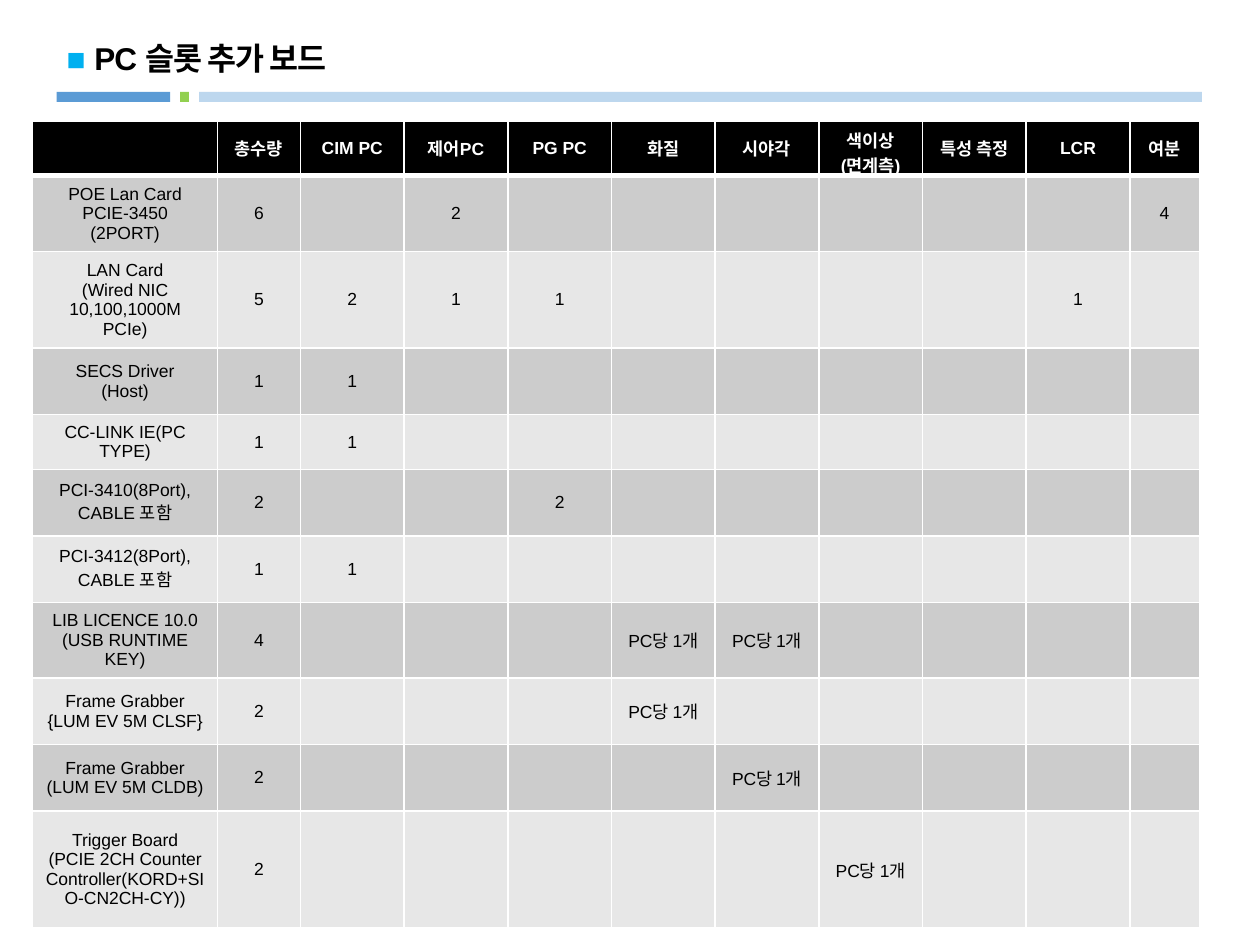
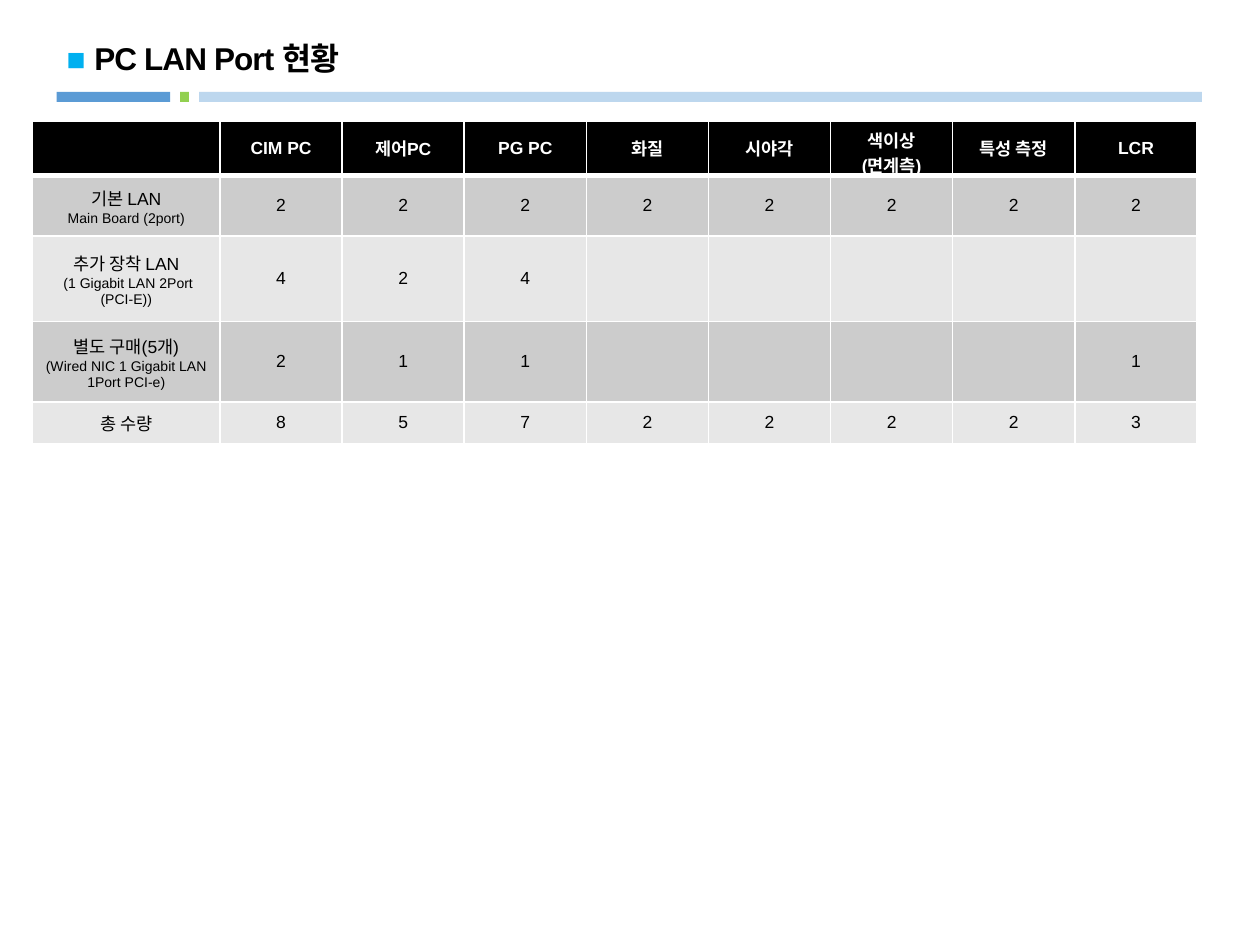
from dataclasses import dataclass

from lxml import etree
from pptx import Presentation
from pptx.dml.color import RGBColor
from pptx.enum import shapes, text
from pptx.oxml.ns import qn
from pptx.util import Pt

FONT = "Arial"
WHITE, BLACK, BULLET_BLUE = "FFFFFF", "000000", "00B0F0"
BODY_BANDS = ("CCCCCC", "E7E7E7")
TABLE_LEFT, TABLE_TOP = 18.72, 69.12
TEXT_SIZE = 10


@dataclass(frozen=True)
class Bar:
    left: float
    width: float
    color: str


@dataclass(frozen=True)
class Row:
    label: str
    height: float
    counts: dict[str, object]


@dataclass(frozen=True)
class Board:
    title: str
    headings: list[str]
    widths: list[float]
    rows: list[Row]
    note_size: float = TEXT_SIZE


BAR_TOP, BAR_HEIGHT = 52.56, 5.76
BARS = (Bar(113.76, 573.12, "BDD7EE"), Bar(32.4, 64.8, "5B9BD5"), Bar(102.96, 5.04, "92D050"))
HEADER_HEIGHT = 23

# Column headings
TOTAL, SPARE, COLOR_SHIFT = "총수량", "여분", "색이상\n(면계측)"
CIM, CONTROL, PG, QUALITY, VIEW, LCR = "CIM PC", "제어PC", "PG PC", "화질", "시야각", "LCR"
STATIONS = [CIM, CONTROL, PG, QUALITY, VIEW, COLOR_SHIFT, "특성 측정", LCR]
ONE_PER_PC = "PC당 1개"

BOARDS = [
    Board(
        "PC 슬롯 추가 보드",
        [TOTAL, *STATIONS, SPARE],
        [105.5, 47.5, *[59.25] * len(STATIONS), 39.7],
        [
            Row("POE Lan Card\nPCIE-3450 (2PORT)", 38, {TOTAL: 6, CONTROL: 2, SPARE: 4}),
            Row("LAN Card\n(Wired NIC 10,100,1000M PCIe)", 52.5,
                {TOTAL: 5, CIM: 2, CONTROL: 1, PG: 1, LCR: 1}),
            Row("SECS Driver\n(Host)", 38, {TOTAL: 1, CIM: 1}),
            Row("CC-LINK IE(PC TYPE)", 24.5, {TOTAL: 1, CIM: 1}),
            Row("PCI-3410(8Port), CABLE 포함", 38, {TOTAL: 2, PG: 2}),
            Row("PCI-3412(8Port), CABLE 포함", 38, {TOTAL: 1, CIM: 1}),
            Row("LIB LICENCE 10.0\n(USB RUNTIME KEY)", 38,
                {TOTAL: 4, QUALITY: ONE_PER_PC, VIEW: ONE_PER_PC}),
            Row("Frame Grabber\n{LUM EV 5M CLSF}", 38, {TOTAL: 2, QUALITY: ONE_PER_PC}),
            Row("Frame Grabber\n(LUM EV 5M CLDB)", 38, {TOTAL: 2, VIEW: ONE_PER_PC}),
            Row("Trigger Board\n(PCIE 2CH Counter Controller(KORD+SIO-CN2CH-CY))", 67,
                {TOTAL: 2, COLOR_SHIFT: ONE_PER_PC}),
        ],
    ),
    Board(
        "PC LAN Port 현황",
        STATIONS,
        [107, *[69.8] * len(STATIONS)],
        [
            Row("기본 LAN\nMain Board (2port)", 34.5, dict.fromkeys(STATIONS, 2)),
            Row("추가 장착 LAN\n (1 Gigabit LAN 2Port (PCI-E))", 49, {CIM: 4, CONTROL: 2, PG: 4}),
            Row("별도 구매(5개)\n(Wired NIC 1 Gigabit LAN 1Port PCI-e)", 46,
                {CIM: 2, CONTROL: 1, PG: 1, LCR: 1}),
            Row("총 수량", 23.5,
                {**dict.fromkeys(STATIONS, 2), CIM: 8, CONTROL: 5, PG: 7, LCR: 3}),
        ],
        note_size=8,
    ),
]


def rgb(color: str) -> RGBColor:
    return RGBColor.from_string(color)


def add_run(paragraph, words: str, color: str, size: float, bold: bool):
    run = paragraph.add_run()
    run.text = words
    for name, value in {"name": FONT, "size": Pt(size), "bold": bold}.items():
        setattr(run.font, name, value)
    run.font.color.rgb = rgb(color)
    return run


def add_heading(slide, title: str) -> None:
    # Coloured rule under the title
    for bar in BARS:
        strip = slide.shapes.add_shape(shapes.MSO_SHAPE.RECTANGLE, Pt(bar.left), Pt(BAR_TOP),
                                       Pt(bar.width), Pt(BAR_HEIGHT))
        strip.shadow.inherit = False
        strip.fill.solid()
        strip.fill.fore_color.rgb = rgb(bar.color)
        strip.line.fill.background()

    # Title with its square mark
    frame = slide.shapes.add_textbox(Pt(30.96), Pt(16.56), Pt(487.44), Pt(30.96)).text_frame
    frame.word_wrap = True
    frame.auto_size = text.MSO_AUTO_SIZE.SHAPE_TO_FIT_TEXT
    line = frame.paragraphs[0]
    line.line_spacing = 1.1
    add_run(line, "■ ", BULLET_BLUE, 18, True)
    words = add_run(line, title, BLACK, 18, True)
    words.font._element.set("spc", "-50")


def set_borders(cell, bottom: float) -> None:
    properties = cell._tc.get_or_add_tcPr()
    sides = {"a:lnL": 1, "a:lnR": 1, "a:lnT": 1, "a:lnB": bottom}
    for place, (tag, width) in enumerate(sides.items()):
        edge = etree.Element(qn(tag), w=str(Pt(width)))
        fill = etree.SubElement(edge, qn("a:solidFill"))
        etree.SubElement(fill, qn("a:srgbClr"), val=WHITE)
        properties.insert(place, edge)


def fill_cell(cell, words: str, fill: str, is_header: bool, note_size: float) -> None:
    cell.fill.solid()
    cell.fill.fore_color.rgb = rgb(fill)
    cell.vertical_anchor = text.MSO_ANCHOR.MIDDLE
    set_borders(cell, 3 if is_header else 1)
    if not words:
        return
    frame = cell.text_frame
    for number, line in enumerate(words.split("\n")):
        paragraph = frame.add_paragraph() if number else frame.paragraphs[0]
        paragraph.alignment = text.PP_ALIGN.CENTER
        size = note_size if number and not is_header else TEXT_SIZE
        add_run(paragraph, line, WHITE if is_header else BLACK, size, is_header)


def add_board_table(slide, board: Board) -> None:
    heights = [HEADER_HEIGHT, *(row.height for row in board.rows)]
    table = slide.shapes.add_table(len(heights), len(board.widths), Pt(TABLE_LEFT), Pt(TABLE_TOP),
                                   Pt(sum(board.widths)), Pt(sum(heights))).table
    for column, width in zip(table.columns, board.widths):
        column.width = Pt(width)
    grid = [["", *board.headings]]
    for row in board.rows:
        grid.append([row.label, *(str(row.counts.get(name, "")) for name in board.headings)])
    for r, (height, line) in enumerate(zip(heights, grid)):
        table.rows[r].height = Pt(height)
        fill = BODY_BANDS[(r - 1) % 2] if r else BLACK
        for c, words in enumerate(line):
            fill_cell(table.cell(r, c), words, fill, r == 0, board.note_size)


def main() -> None:
    deck = Presentation()
    deck.slide_width, deck.slide_height = Pt(720), Pt(540)
    for board in BOARDS:
        slide = deck.slides.add_slide(deck.slide_layouts[6])
        add_heading(slide, board.title)
        add_board_table(slide, board)
    deck.save("out.pptx")


if __name__ == "__main__":
    main()
